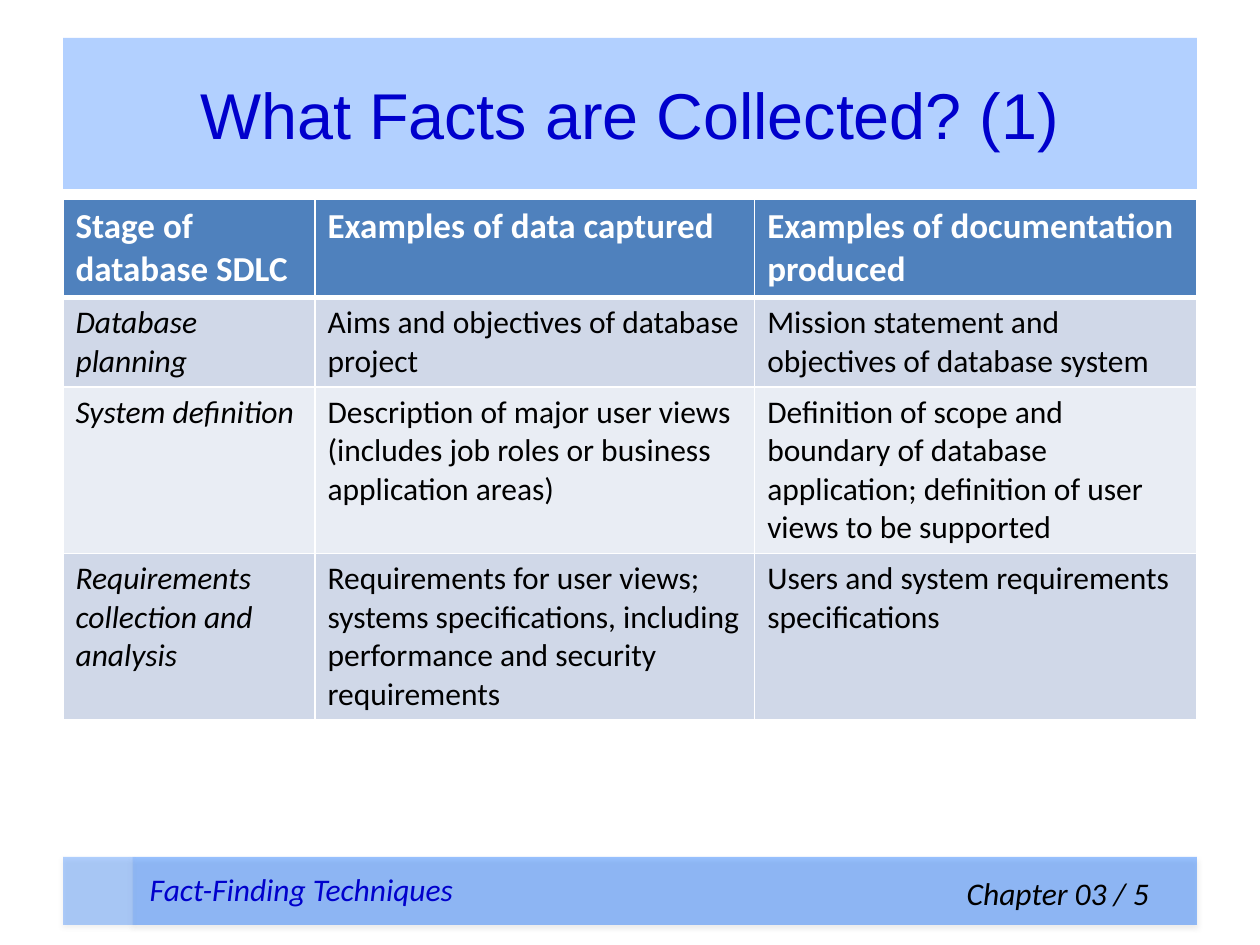
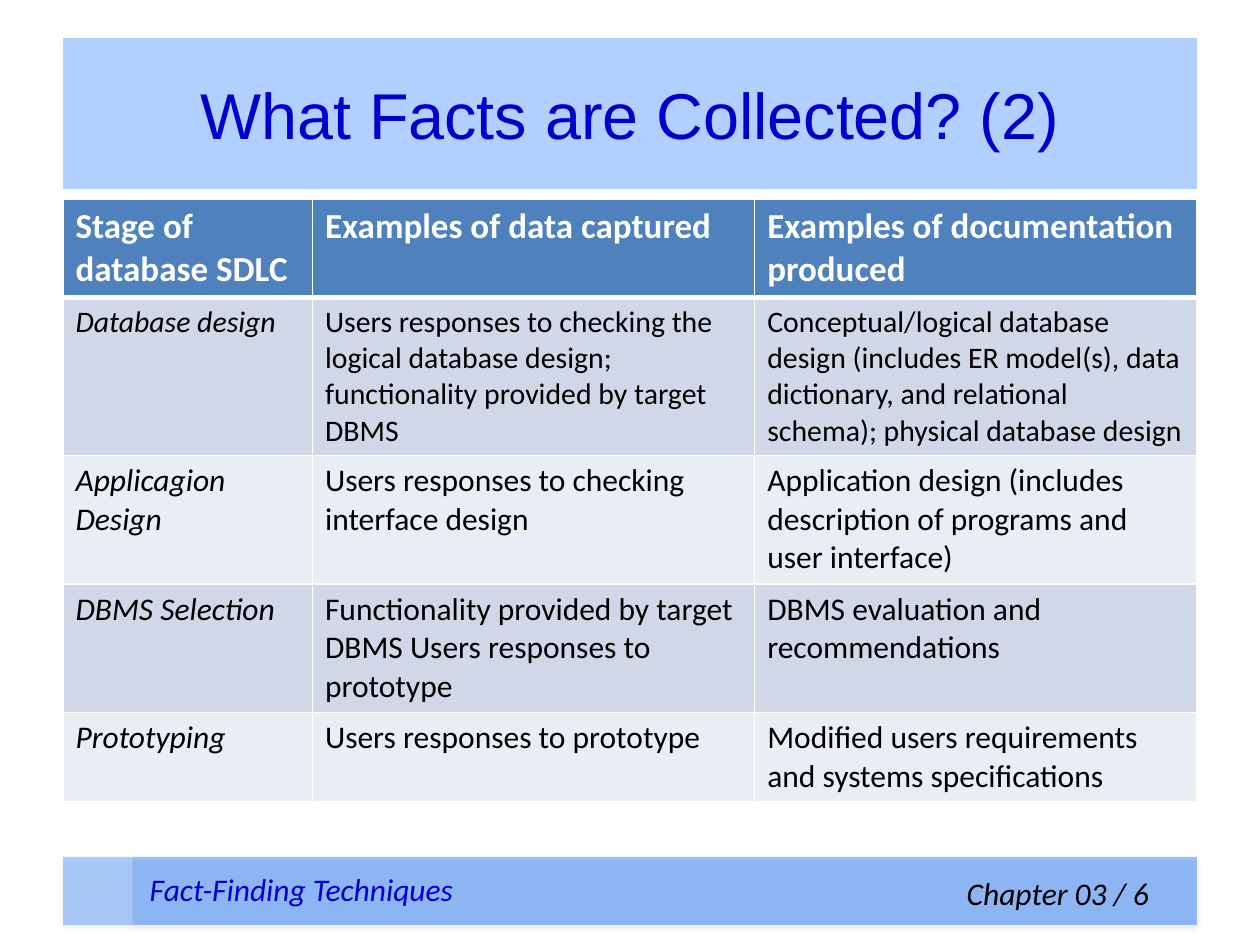
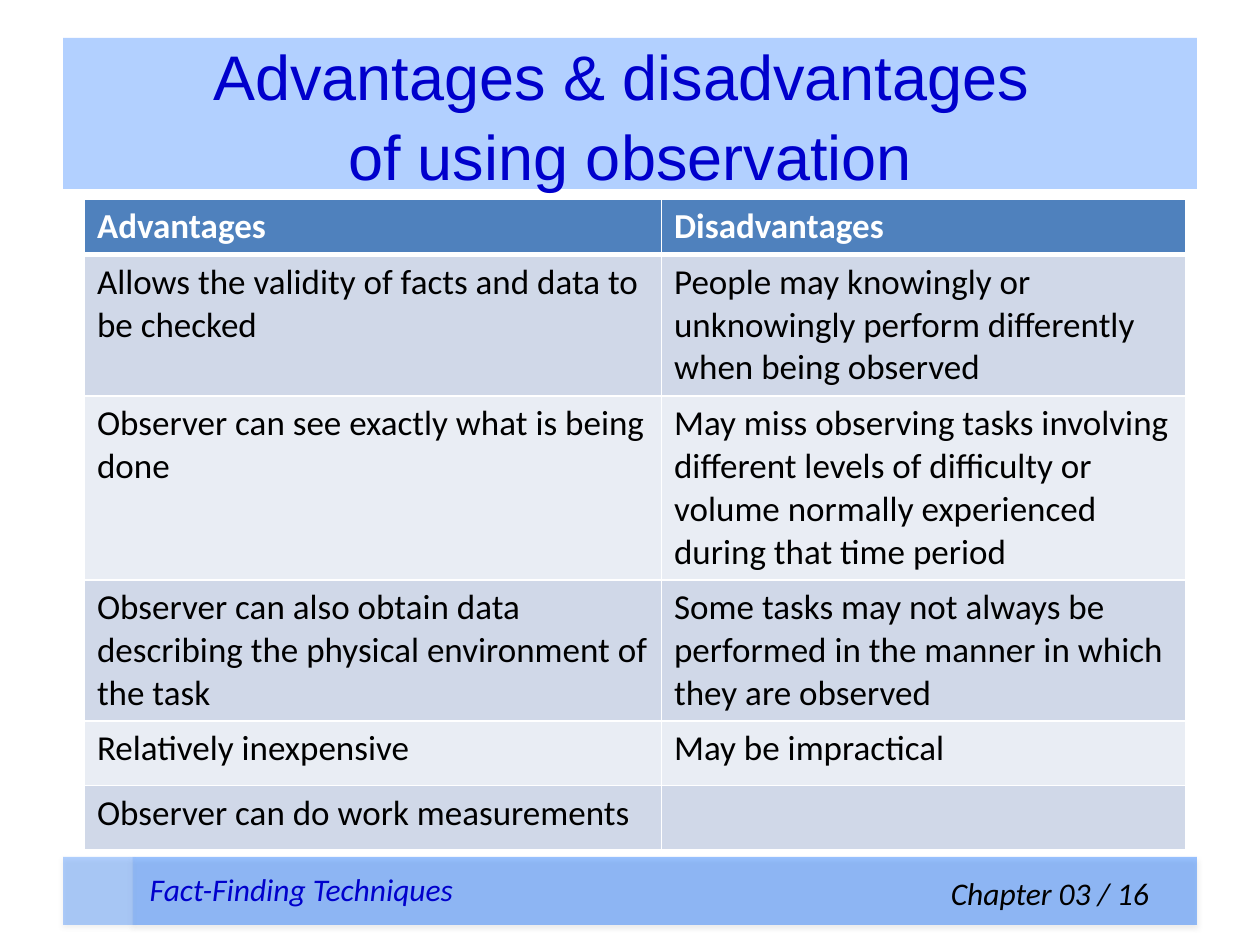
import pptx
import pptx.chart.data
import pptx.dml.color
import pptx.enum.shapes
import pptx.enum.text
import pptx.oxml
import pptx.oxml.ns
import pptx.util
from lxml import etree

Inches, Pt = pptx.util.Inches, pptx.util.Pt
ALIGN = pptx.enum.text.PP_ALIGN
qn = pptx.oxml.ns.qn

BLUE, NAVY, BLACK, WHITE = "0066FF", "0000CC", "000000", "FFFFFF"
HEADER_FILL, BAND_FILLS = "4F81BD", ("D0D8E8", "E9EDF4")
FOOTER_TOP, FOOTER_HEIGHT = 6.8, 0.54
STAGE_HEADER = ("Stage of database SDLC", "Examples of data captured",
                "Examples of documentation produced")

SLIDES = [
    {
        "title": "What Facts are Collected? (1)", "title_size": 37, "spacing": 1,
        "page": 5, "left": 0.5, "cols": (2, 3.49, 3.51),
        "heights": (0.77, 0.7, 1.32, 1.32), "sizes": (20, 18, 18, 18),
        "italic_first": True,
        "rows": [
            STAGE_HEADER,
            ("Database planning", "Aims and objectives of database project",
             "Mission statement and objectives of database system"),
            ("System definition",
             "Description of major user views (includes job roles or business application areas)",
             "Definition of scope and boundary of database application; "
             "definition of user views to be supported"),
            ("Requirements collection and analysis",
             "Requirements for user views; systems specifications, "
             "including performance and security requirements",
             "Users and system requirements specifications"),
        ],
    },
    {
        "title": "What Facts are Collected? (2)", "title_size": 37, "spacing": 1,
        "page": 6, "left": 0.5, "cols": (1.98, 3.51, 3.51),
        "heights": (0.77, 1.25, 1.02, 1.02, 0.71), "sizes": (20, 17, 18, 18, 18),
        "italic_first": True,
        "rows": [
            STAGE_HEADER,
            ("Database design",
             "Users responses to checking the logical database design; "
             "functionality provided by target DBMS",
             "Conceptual/logical database design (includes ER model(s), data dictionary, "
             "and relational schema); physical database design"),
            ("Applicagion Design", "Users responses to checking interface design",
             "Application design (includes description of programs and user interface)"),
            ("DBMS Selection",
             "Functionality provided by target DBMS Users responses to prototype",
             "DBMS evaluation and recommendations"),
            ("Prototyping", "Users responses to prototype",
             "Modified users requirements and systems specifications"),
        ],
    },
    {
        "title": "Advantages & disadvantages \vof using observation",
        "title_size": 36, "spacing": 1.06,
        "page": 16, "left": 0.67, "cols": (4.58, 4.16),
        "heights": (0.43, 1.12, 1.46, 1.12, 0.51, 0.51), "sizes": (20,) * 6,
        "italic_first": False,
        "rows": [
            ("Advantages", "Disadvantages"),
            ("Allows the validity of facts and data to be checked",
             "People may knowingly or unknowingly perform differently when being observed"),
            ("Observer can see exactly what is being done",
             "May miss observing tasks involving different levels of difficulty "
             "or volume normally experienced during that time period"),
            ("Observer can also obtain data describing the physical environment of the task",
             "Some tasks may not always be performed in the manner in which they are observed"),
            ("Relatively inexpensive", "May be impractical"),
            ("Observer can do work measurements", ""),
        ],
    },
]


def rgb(value):
    return pptx.dml.color.RGBColor.from_string(value)


def style(p, color, **values):
    for r in p.runs:
        for name, value in values.items():
            setattr(r.font, name, value)
        r.font.color.rgb = rgb(color)


def set_alpha(color, percent):
    etree.SubElement(color, qn("a:alpha"), val=str(percent * 1000))


def tint(sp, percent):
    sp.fill.solid()
    sp.fill.fore_color.rgb = rgb(BLUE)
    set_alpha(sp.element.spPr.find(".//" + qn("a:srgbClr")), percent)
    sp.line.fill.background()


def add_title(s, text, size, spacing):
    sp = s.shapes.title
    sp.left, sp.top, sp.width, sp.height = map(Inches, (0.5, 0.3, 9, 1.2))
    tint(sp, 30)
    tf = sp.text_frame
    tf.text = text
    tf.auto_size = pptx.enum.text.MSO_AUTO_SIZE.NONE
    tf.vertical_anchor = pptx.enum.text.MSO_ANCHOR.MIDDLE
    p = tf.paragraphs[0]
    p.alignment = ALIGN.CENTER
    p.line_spacing = spacing
    style(p, NAVY, name="Arial", size=Pt(size))


def set_borders(cell, top, bottom):
    tc_pr = cell._tc.get_or_add_tcPr()
    widths = {"lnL": 1, "lnR": 1, "lnT": top, "lnB": bottom}
    for position, (tag, width) in enumerate(widths.items()):
        ln = etree.Element(qn("a:" + tag), w=str(Pt(width)))
        fill = etree.SubElement(ln, qn("a:solidFill"))
        etree.SubElement(fill, qn("a:srgbClr"), val=WHITE)
        tc_pr.insert(position, ln)


def add_table(s, item):
    rows, cols, heights = item["rows"], item["cols"], item["heights"]
    table = s.shapes.add_table(len(rows), len(cols), Inches(item["left"]), Inches(1.58),
                               Inches(sum(cols)), Inches(sum(heights))).table
    for column, width in zip(table.columns, cols):
        column.width = Inches(width)
    for i, texts in enumerate(rows):
        table.rows[i].height = Inches(heights[i])
        header = i == 0
        for j, text in enumerate(texts):
            cell = table.cell(i, j)
            cell.text = text
            cell.fill.solid()
            cell.fill.fore_color.rgb = rgb(HEADER_FILL if header else BAND_FILLS[(i - 1) % 2])
            set_borders(cell, 3 if i == 1 else 1, 3 if header else 1)
            style(cell.text_frame.paragraphs[0], WHITE if header else BLACK,
                  name="Calibri", size=Pt(item["sizes"][i]), bold=header,
                  italic=item["italic_first"] and not header and j == 0)


def add_band(s, left, width, percent):
    sp = s.shapes.add_shape(pptx.enum.shapes.MSO_SHAPE.RECTANGLE, Inches(left),
                            Inches(FOOTER_TOP), Inches(width), Inches(FOOTER_HEIGHT))
    tint(sp, percent)
    sp.shadow.inherit = False
    effects = sp.element.spPr.find(qn("a:effectLst"))
    shadow = etree.SubElement(effects, qn("a:outerShdw"), blurRad=str(Pt(3.1)),
                              dist=str(Pt(1.6)), dir="5400000", rotWithShape="0")
    set_alpha(etree.SubElement(shadow, qn("a:srgbClr"), val="808080"), 38)


def add_label(s, text, box, color, align, right_inset):
    tf = s.shapes.add_textbox(*map(Inches, box)).text_frame
    tf.word_wrap = True
    tf.margin_right = Inches(right_inset)
    p = tf.paragraphs[0]
    p.text = text
    p.alignment = align
    style(p, color, name="Calibri", size=Pt(18), italic=True)


def add_footer(s, page):
    add_band(s, 1.05, 8.45, 40)
    add_band(s, 0.5, 0.55, 30)
    add_label(s, "Fact-Finding Techniques", (1.09, 6.86, 3.66, 0.4), NAVY, ALIGN.LEFT, 0.1)
    add_label(s, f"Chapter 03 / {page}", (5.25, 6.89, 4.25, 0.4), BLACK, ALIGN.RIGHT, 0.38)


def main():
    prs = pptx.Presentation()
    prs.slide_width, prs.slide_height = Inches(10), Inches(7.5)
    for item in SLIDES:
        s = prs.slides.add_slide(prs.slide_layouts.get_by_name("Title Only"))
        add_title(s, item["title"], item["title_size"], item["spacing"])
        add_table(s, item)
        add_footer(s, item["page"])
    prs.save("out.pptx")


if __name__ == "__main__":
    main()
